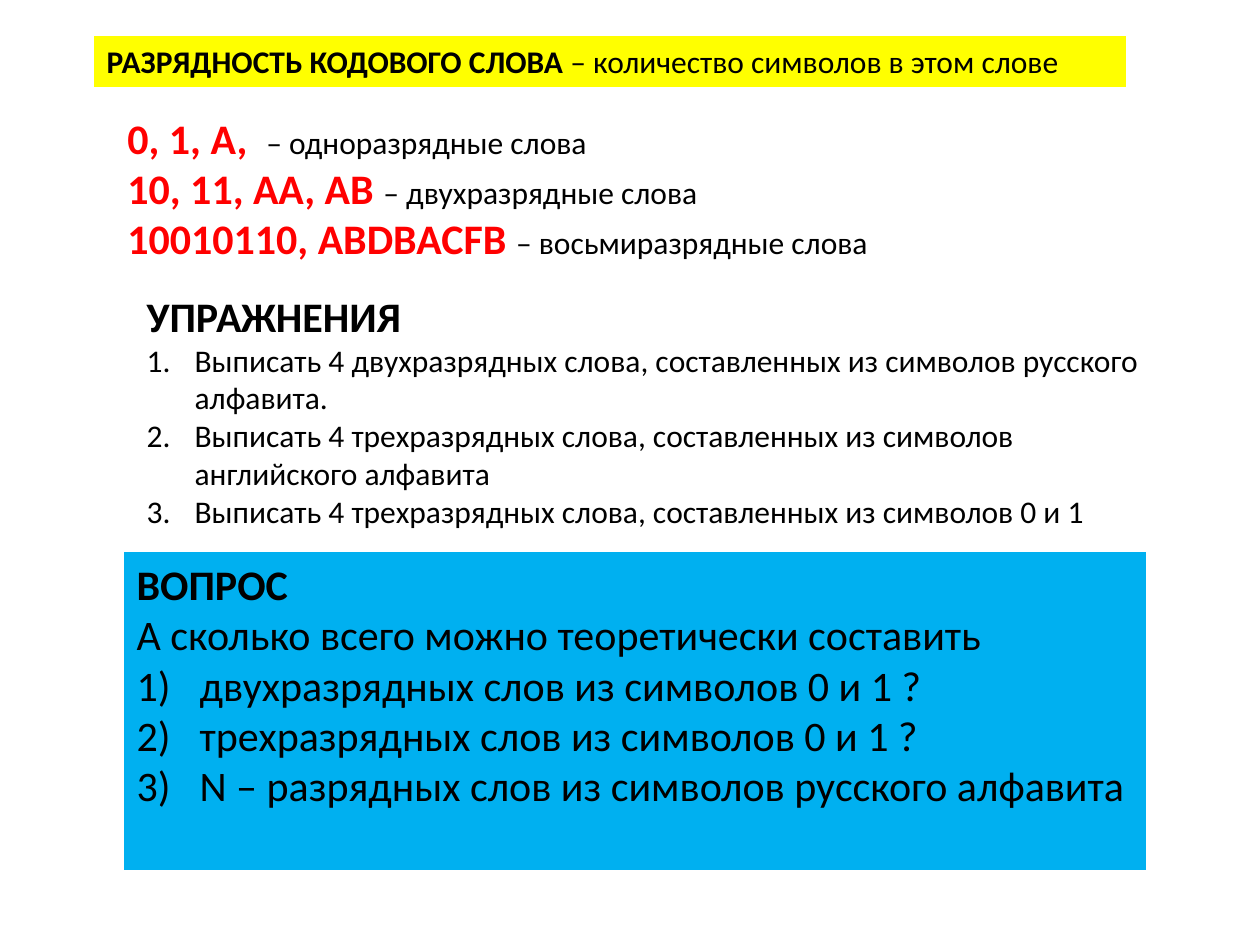
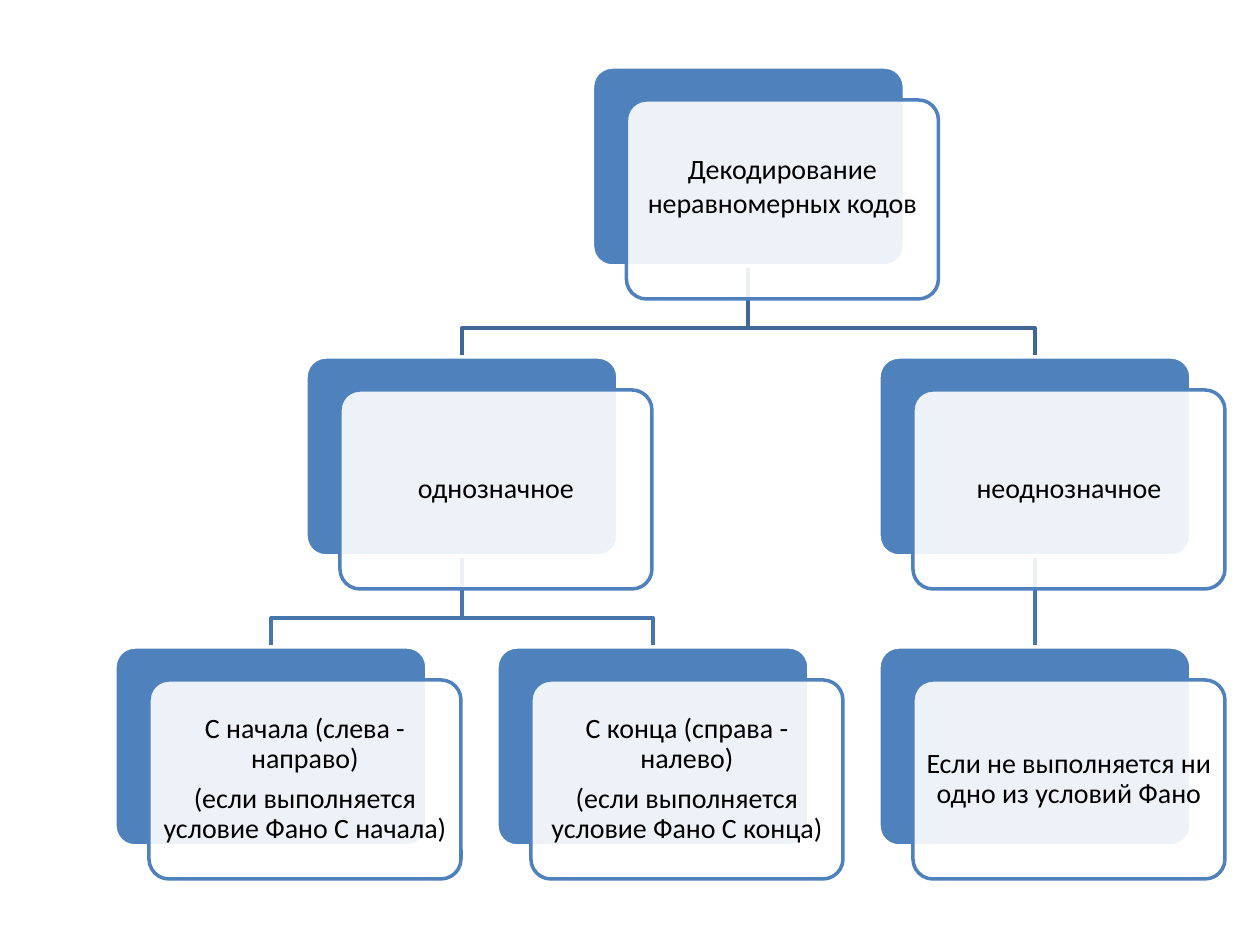
"""Builds two slides on code words: word length with exercises, and a decoding tree."""
from dataclasses import dataclass

from lxml import etree
from pptx import Presentation
from pptx import util as u
from pptx.dml.color import RGBColor
from pptx.enum import shapes, text
from pptx.oxml.ns import qn

PX = 914400 / 126
SLIDE_SIZE = (1260, 945)


@dataclass(frozen=True)
class Theme:
    """Colours, type sizes and text styles of both slides."""
    font: str = "Calibri"
    black: str = "000000"
    red: str = "FF0000"
    white: str = "FFFFFF"
    band: str = "FFFF00"
    question: str = "00B0F0"
    node: str = "4F81BD"
    links: tuple = ("3F6797", "4875AC")
    large: int = 24
    medium: int = 18
    small: int = 16
    line: int = 2
    veil: int = 90

    def style(self, name):
        """Return size, colour and weight of a named text style."""
        return {
            "heading": (self.large, self.black, True),
            "sample": (self.large, self.red, True),
            "term": (self.medium, self.black, True),
            "plain": (self.medium, self.black, False),
            "ask": (self.large, self.black, False),
            "node": (self.small, self.black, False),
        }[name]


THEME = Theme()

DEFINITION = [[("РАЗРЯДНОСТЬ КОДОВОГО СЛОВА ", "term"),
               ("– количество символов в этом слове ", "plain")]]
SAMPLES = [
    [("0, 1, А,  ", "sample"), ("– одноразрядные слова", "plain")],
    [("10, 11, АА, АВ ", "sample"), ("– двухразрядные слова", "plain")],
    [("10010110, ABDBACFB ", "sample"), ("– восьмиразрядные слова", "plain")],
]
EXERCISES = [
    [("УПРАЖНЕНИЯ", "heading")],
    [("Выписать 4 двухразрядных слова, составленных из символов русского алфавита.", "plain")],
    [("Выписать 4 трехразрядных слова, составленных из символов английского алфавита", "plain")],
    [("Выписать 4 трехразрядных слова, составленных из символов 0 и 1", "plain")],
]
QUESTION = [
    [("ВОПРОС", "heading")],
    [("А сколько всего можно теоретически составить", "ask")],
    [("двухразрядных слов из символов 0 и 1 ?", "ask")],
    [("трехразрядных слов из символов 0 и 1 ?", "ask")],
    [("N – разрядных слов из символов русского алфавита", "ask")],
]
DEFINITION_BOX = (94, 36, 1032, 51)
SAMPLES_BOX = (115, 106, 873, 165)
EXERCISES_BOX = (134, 284, 1022, 254)
QUESTION_BOX = (124, 552, 1022, 318)

DECODING = (["Декодирование неравномерных кодов"], [
    (["однозначное"], [
        (["С начала (слева - направо)", "(если выполняется условие Фано С начала)"], []),
        (["С конца (справа - налево)", "(если выполняется условие Фано С конца)"], []),
    ]),
    (["неоднозначное"], [
        (["Если не выполняется ни одно из условий Фано"], []),
    ]),
])
NODE_SIZE = (312, 199)
FRONT_SHIFT = (34, 33)
TREE_ORIGIN = (115, 67)
TREE_STEP = (382, 290)
ELBOW_DROP = 62
NODE_INSET = 3
ROOT_LIFT = 28


def px(value):
    return u.Emu(round(value * PX))


def rgb(value):
    return RGBColor.from_string(value)


def add_run(paragraph, words, style):
    run = paragraph.add_run()
    run.text = words
    size, colour, bold = THEME.style(style)
    run.font.name = THEME.font
    run.font.size = u.Pt(size)
    run.font.bold = bold
    run.font.color.rgb = rgb(colour)


def paragraphs_of(frame, count):
    return [frame.paragraphs[0]] + [frame.add_paragraph() for _ in range(count - 1)]


def fill_box(box, place, content, fill=None, numbering=None, first=0, indent=0):
    """Place a text box and write its lines, numbered from index first on."""
    box.left, box.top, box.width, box.height = map(px, place)
    if fill:
        box.fill.solid()
        box.fill.fore_color.rgb = rgb(fill)
    frame = box.text_frame
    frame.word_wrap = True
    frame.auto_size = text.MSO_AUTO_SIZE.NONE
    frame.vertical_anchor = text.MSO_ANCHOR.TOP
    for index, (paragraph, runs) in enumerate(zip(paragraphs_of(frame, len(content)), content)):
        paragraph.alignment = text.PP_ALIGN.LEFT
        paragraph.space_before = u.Pt(0)
        numbered = numbering and index >= first
        margin = px(indent) if numbered else 0
        properties = paragraph._p.get_or_add_pPr()
        properties.set("marL", str(margin))
        properties.set("indent", str(-margin))
        if numbered:
            etree.SubElement(properties, qn("a:buAutoNum"), type=numbering)
        else:
            etree.SubElement(properties, qn("a:buNone"))
        for words, style in runs:
            add_run(paragraph, words, style)


def build_words_slide(deck):
    slide = deck.slides.add_slide(deck.slide_layouts[3])
    definition, exercises, question = slide.placeholders
    samples = slide.shapes.add_textbox(0, 0, 0, 0)
    fill_box(definition, DEFINITION_BOX, DEFINITION, THEME.band)
    fill_box(samples, SAMPLES_BOX, SAMPLES)
    fill_box(exercises, EXERCISES_BOX, EXERCISES, None, "arabicPeriod", 1, 48)
    fill_box(question, QUESTION_BOX, QUESTION, THEME.question, "arabicParenR", 2, 63)


def lay_out(node, level=0, leaf=0):
    """Return nodes as (x, level, lines), links, and the next free leaf."""
    lines, children = node
    nodes, links, child_xs = [], [], []
    for child in children:
        below, below_links, leaf = lay_out(child, level + 1, leaf)
        child_xs.append(below[0][0])
        nodes += below
        links += below_links
    if children:
        x = (child_xs[0] + child_xs[-1]) / 2
    else:
        x = TREE_ORIGIN[0] + leaf * TREE_STEP[0]
        leaf += 1
    links += [(x, child_x, level) for child_x in child_xs]
    return [(x, level, lines)] + nodes, links, leaf


def level_top(level):
    return TREE_ORIGIN[1] + level * TREE_STEP[1]


def add_link(tree, parent_x, child_x, level):
    start, end = (x + NODE_SIZE[0] / 2 for x in (parent_x, child_x))
    top, bottom = level_top(level) + NODE_SIZE[1], level_top(level + 1)
    if start == end:
        link = tree.add_connector(shapes.MSO_CONNECTOR.STRAIGHT,
                                  px(start), px(top), px(end), px(bottom))
        etree.SubElement(link._element.spPr, qn("a:effectLst"))
    else:
        outline = tree.build_freeform(start, top, scale=PX)
        turn = top + ELBOW_DROP
        outline.add_line_segments([(start, turn), (end, turn), (end, bottom)], close=False)
        link = outline.convert_to_shape()
        link.fill.background()
        link.shadow.inherit = False
    link.line.color.rgb = rgb(THEME.links[level])
    link.line.width = u.Pt(THEME.line)


def add_card(tree, x, y, fill, line):
    card = tree.add_shape(shapes.MSO_SHAPE.ROUNDED_RECTANGLE,
                          *map(px, (x, y, *NODE_SIZE)))
    card.adjustments[0] = 0.1
    card.shadow.inherit = False
    card.fill.solid()
    card.fill.fore_color.rgb = rgb(fill)
    card.line.color.rgb = rgb(line)
    card.line.width = u.Pt(THEME.line)
    return card


def add_node(tree, x, level, lines):
    y = level_top(level)
    add_card(tree, x, y, THEME.node, THEME.white)
    front = add_card(tree, x + FRONT_SHIFT[0], y + FRONT_SHIFT[1], THEME.white, THEME.node)
    veil = front._element.spPr.find(qn("a:solidFill"))[0]
    etree.SubElement(veil, qn("a:alpha"), val=str(THEME.veil * 1000))
    frame = front.text_frame
    frame.word_wrap = True
    frame.vertical_anchor = text.MSO_ANCHOR.MIDDLE
    frame.margin_left = frame.margin_right = frame.margin_top = px(NODE_INSET)
    frame.margin_bottom = px(NODE_INSET + (0 if level else ROOT_LIFT))
    for paragraph, words in zip(paragraphs_of(frame, len(lines)), lines):
        paragraph.alignment = text.PP_ALIGN.CENTER
        paragraph.line_spacing = 0.9 if level else 1.0
        paragraph.space_after = u.Pt(THEME.small * 0.35)
        add_run(paragraph, words, "node")


def build_decoding_slide(deck):
    slide = deck.slides.add_slide(deck.slide_layouts[6])
    tree = slide.shapes.add_group_shape().shapes
    nodes, links, _ = lay_out(DECODING)
    for link in links:
        add_link(tree, *link)
    for node in nodes:
        add_node(tree, *node)


deck = Presentation()
deck.slide_width, deck.slide_height = map(px, SLIDE_SIZE)
build_words_slide(deck)
build_decoding_slide(deck)
deck.save("out.pptx")
